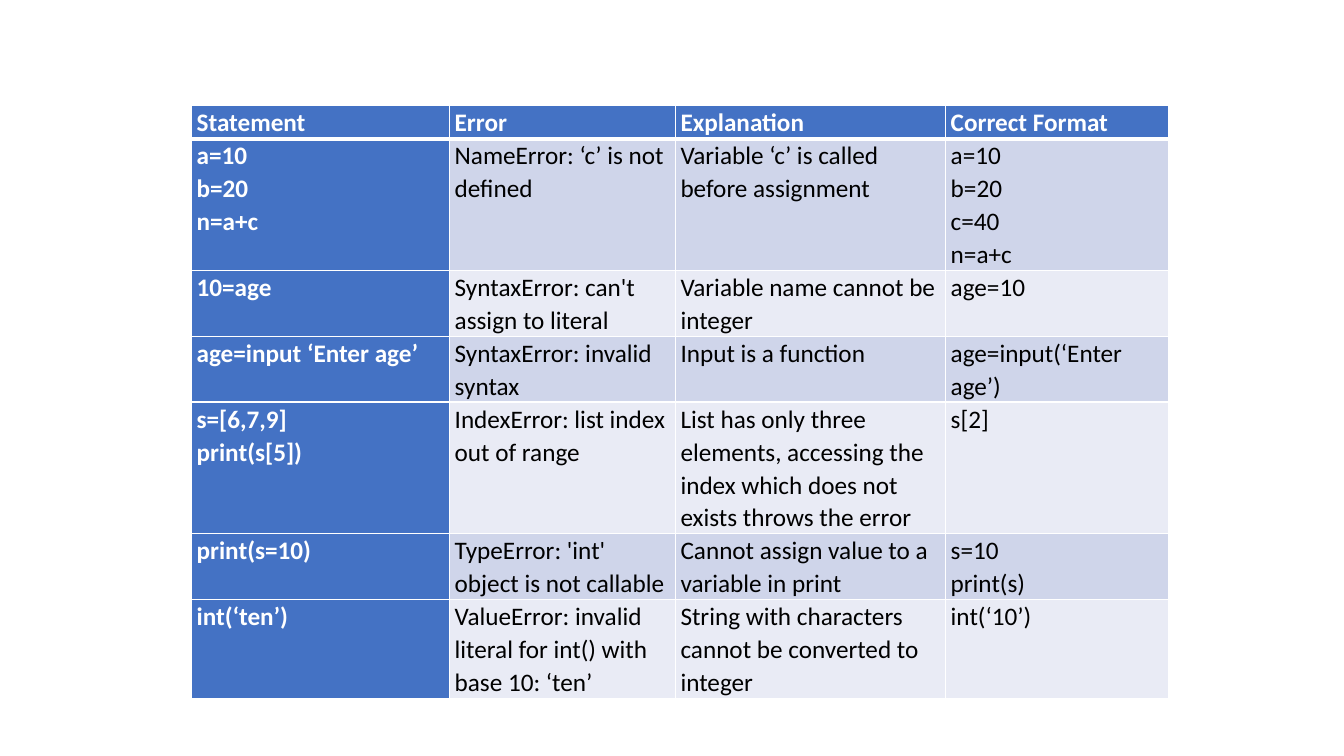
import dataclasses

import lxml.etree
import pptx
import pptx.dml.color
import pptx.enum.text
import pptx.oxml.ns
import pptx.util


@dataclasses.dataclass(frozen=True)
class Theme:
    font: str = "Calibri"
    size: int = 18
    space: float = 1.07
    head: str = "4472C4"
    bands: tuple = ("CFD5EA", "E9EBF5")
    light: str = "FFFFFF"
    dark: str = "000000"
    thin: int = 1
    thick: int = 3


THEME = Theme()
WIDE, HIGH = 13.33, 7.5
LEFT, TOP = 1.9, 1.05
COLS = (2.56, 2.24, 2.68, 2.21)
LINE = 0.32
INSET = 0.05

HEADS = ("Statement", "Error", "Explanation", "Correct Format")
ERRORS = (
    (4, "a=10\nb=20\nn=a+c", "NameError: ‘c’ is not defined",
     "Variable ‘c’ is called before assignment", "a=10\nb=20\nc=40\nn=a+c"),
    (2, "10=age", "SyntaxError: can't assign to literal",
     "Variable name cannot be integer", "age=10"),
    (2, "age=input ‘Enter age’", "SyntaxError: invalid syntax",
     "Input is a function ", "age=input(‘Enter age’)"),
    (4, "s=[6,7,9]\nprint(s[5])", "IndexError: list index out of range",
     "List has only three elements, accessing the index which does not "
     "exists throws the error", "s[2]"),
    (2, "print(s=10)", "TypeError: 'int' object is not callable",
     "Cannot assign value to a variable in print", "s=10\nprint(s)"),
    (3, "int(‘ten’)", "ValueError: invalid literal for int() with base 10: ‘ten’",
     "String with characters cannot be converted to integer ", "int(‘10’)"),
)


def tint(text):
    return pptx.dml.color.RGBColor.from_string(text)


def add_edge(cell, side, width):
    name = pptx.oxml.ns.qn
    props = cell._tc.get_or_add_tcPr()
    edge = lxml.etree.SubElement(props, name("a:ln" + side),
                                 w=str(pptx.util.Pt(width)))
    fill = lxml.etree.SubElement(edge, name("a:solidFill"))
    lxml.etree.SubElement(fill, name("a:srgbClr"), val=THEME.light)


def set_text(cell, text, strong):
    frame = cell.text_frame
    frame.text = text
    for para in frame.paragraphs:
        para.line_spacing = THEME.space
        for run in para.runs:
            font = run.font
            font.name = THEME.font
            font.size = pptx.util.Pt(THEME.size)
            font.bold = strong
            font.color.rgb = tint(THEME.light if strong else THEME.dark)


def set_cell(cell, text, row, col):
    strong = row == 0 or col == 0
    cell.margin_left = cell.margin_right = pptx.util.Inches(INSET)
    cell.margin_top = cell.margin_bottom = 0
    cell.vertical_anchor = pptx.enum.text.MSO_ANCHOR.TOP
    for side in "LRTB":
        heavy = (side, row) in (("B", 0), ("T", 1))
        add_edge(cell, side, THEME.thick if heavy else THEME.thin)
    cell.fill.solid()
    cell.fill.fore_color.rgb = tint(
        THEME.head if strong else THEME.bands[(row - 1) % 2])
    set_text(cell, text, strong)


def add_grid(slide, rows):
    unit = pptx.util.Inches
    lines = sum(row[0] for row in rows)
    grid = slide.shapes.add_table(
        len(rows), len(COLS), unit(LEFT), unit(TOP),
        unit(sum(COLS)), unit(lines * LINE)).table
    grid.first_row = grid.horz_banding = False
    for col, width in zip(grid.columns, COLS):
        col.width = unit(width)
    for at, (count, *texts) in enumerate(rows):
        grid.rows[at].height = unit(count * LINE)
        for col, text in enumerate(texts):
            set_cell(grid.cell(at, col), text, at, col)


def main():
    deck = pptx.Presentation()
    deck.slide_width = pptx.util.Inches(WIDE)
    deck.slide_height = pptx.util.Inches(HIGH)
    slide = deck.slides.add_slide(deck.slide_layouts[6])
    add_grid(slide, ((1, *HEADS), *ERRORS))
    deck.save("out.pptx")


main()
